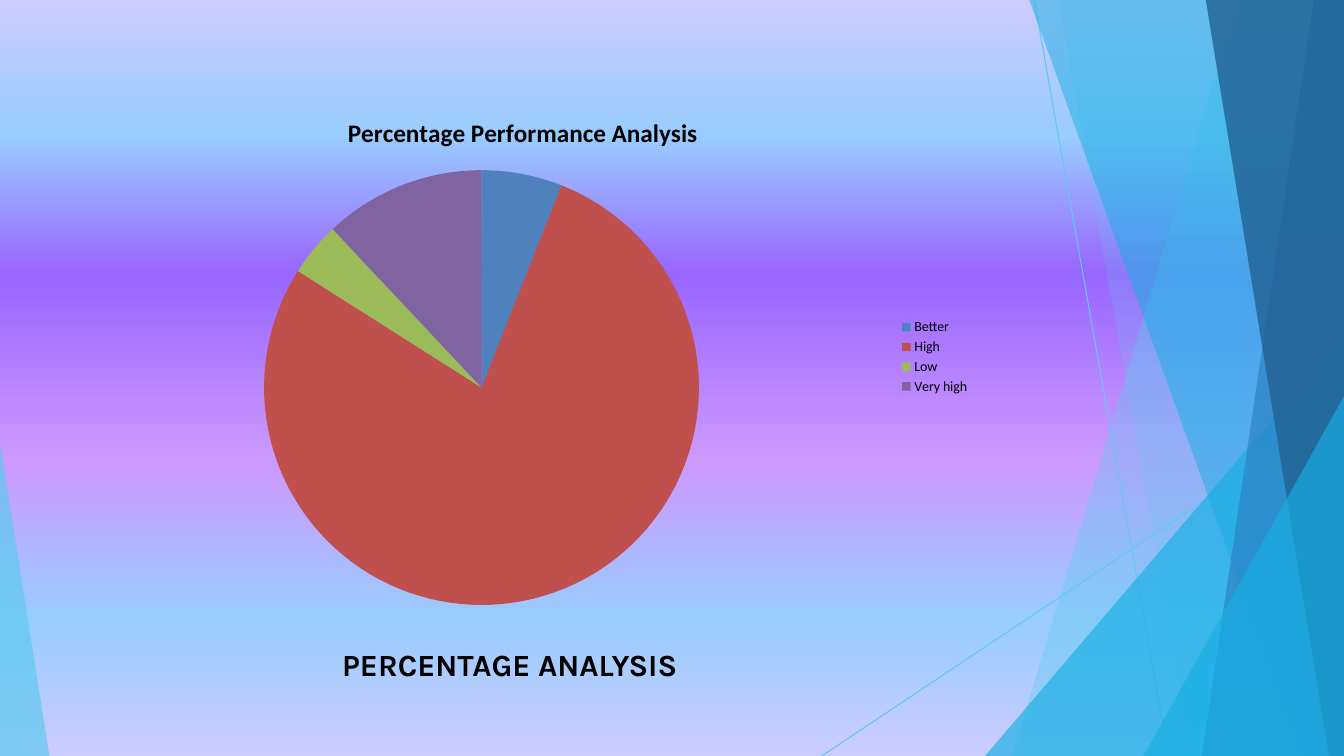
from lxml.etree import SubElement
from pptx import Presentation
from pptx.chart.data import CategoryChartData
from pptx.dml.color import RGBColor
from pptx.enum.chart import XL_CHART_TYPE, XL_LEGEND_POSITION
from pptx.enum.shapes import MSO_CONNECTOR
from pptx.enum.text import MSO_ANCHOR, PP_ALIGN
from pptx.oxml.ns import qn
from pptx.util import Inches, Pt

COLORS = {
    "black": "000000", "sky": "5FCAEE", "cyan": "17AFE3",
    "blue": "2D83C3", "navy": "226192",
    "lavender": "CCCCFF", "pale blue": "99CCFF",
    "violet": "9966FF", "orchid": "CC99FF",
    "Better": "4F81BD", "High": "C0504D", "Low": "9BBB59", "Very high": "8064A2",
}
WIDTH, HEIGHT = 13.33, 7.5
BACKGROUND = [(0, "lavender"), (18, "pale blue"), (36, "violet"),
              (61, "orchid"), (82, "pale blue"), (100, "lavender")]
RAYS = [(10.26, 0.01, 11.59, HEIGHT), (WIDTH, 4.04, 8.15, HEIGHT)]
# Each facet reaches the right edge: top left x, bottom left x, colour, opacity
BANDS = [(12.28, 10.04, "sky", 36), (10.5, 11.82, "sky", 20)]
FRONT_BANDS = [(10.21, 12.91, "cyan", 50), (13.03, 11.92, "blue", 70),
               (11.96, 13.18, "navy", 80)]
PERFORMANCE = {"Better": 6, "High": 78, "Low": 4, "Very high": 12}


def color(name):
    return RGBColor.from_string(COLORS[name])


class SlideBuilder:
    """Holds the page being built and draws its elements in the shared style."""

    def __init__(self, page):
        self.page = page

    def background(self, stops):
        fill = self.page.background.fill
        fill.gradient()
        fill.gradient_angle = 270
        stop_list = self.page.element.find(".//" + qn("a:gsLst"))
        stop_list.clear()
        for position, name in stops:
            stop = SubElement(stop_list, qn("a:gs"), pos=str(position * 1000))
            SubElement(stop, qn("a:srgbClr"), val=COLORS[name])

    def ray(self, *ends):
        line = self.page.shapes.add_connector(
            MSO_CONNECTOR.STRAIGHT, *(Inches(end) for end in ends))
        line.line.color.rgb = color("sky")
        line.line.width = Pt(0.75)
        SubElement(line.element.spPr, qn("a:effectLst"))

    def facet(self, points, name, opacity):
        """Draw a translucent polygon through the points, given in inches."""
        corners = [(Inches(x), Inches(y)) for x, y in points]
        builder = self.page.shapes.build_freeform(*corners[0])
        builder.add_line_segments(corners[1:], close=True)
        shape = builder.convert_to_shape()
        shape.shadow.inherit = False
        shape.line.fill.background()
        shape.fill.solid()
        shape.fill.fore_color.rgb = color(name)
        tint = shape.element.spPr.find(".//" + qn("a:srgbClr"))
        SubElement(tint, qn("a:alpha"), val=str(opacity * 1000))

    def band(self, top, bottom, name, opacity):
        self.facet([(WIDTH, 0), (top, 0), (bottom, HEIGHT), (WIDTH, HEIGHT)], name, opacity)

    def corner(self, left, top):
        self.facet([(WIDTH, top), (left, HEIGHT), (WIDTH, HEIGHT)], "cyan", 66)

    def title(self, text, left, top, width, height):
        box = self.page.shapes.title
        box.left, box.top = Inches(left), Inches(top)
        box.width, box.height = Inches(width), Inches(height)
        frame = box.text_frame
        frame.text = text
        frame.word_wrap = True
        frame.vertical_anchor = MSO_ANCHOR.TOP
        frame.margin_left = frame.margin_right = 0
        frame.margin_top = frame.margin_bottom = 0
        para = frame.paragraphs[0]
        para.alignment = PP_ALIGN.CENTER
        para.line_spacing = 1.0
        para.font.name = "Karla"
        para.font.size = Pt(22)
        para.font.bold = True
        para.font.color.rgb = color("black")

    def pie(self, heading, values, left, top, width, height):
        data = CategoryChartData()
        data.categories = list(values)
        data.add_series("Series 1", list(values.values()))
        chart = self.page.shapes.add_chart(
            XL_CHART_TYPE.PIE, Inches(left), Inches(top),
            Inches(width), Inches(height), data).chart
        chart.font.name = "Calibri"
        chart.font.size = Pt(10)
        chart.font.color.rgb = color("black")
        chart.has_title = True
        chart.chart_title.include_in_layout = False
        frame = chart.chart_title.text_frame
        frame.text = heading
        font = frame.paragraphs[0].font
        font.name = "Calibri"
        font.size = Pt(18)
        font.bold = True
        font.color.rgb = color("black")
        chart.has_legend = True
        chart.legend.position = XL_LEGEND_POSITION.RIGHT
        chart.legend.include_in_layout = False
        plot = chart.plots[0]
        plot.vary_by_categories = True
        for index, name in enumerate(values):
            fill = plot.series[0].points[index].format.fill
            fill.solid()
            fill.fore_color.rgb = color(name)


def main():
    deck = Presentation()
    deck.slide_width, deck.slide_height = Inches(WIDTH), Inches(HEIGHT)
    slide = SlideBuilder(deck.slides.add_slide(deck.slide_layouts[5]))
    slide.background(BACKGROUND)
    for ray in RAYS:
        slide.ray(*ray)
    for band in BANDS:
        slide.band(*band)
    slide.corner(9.77, 3.33)
    for band in FRONT_BANDS:
        slide.band(*band)
    slide.corner(11.34, 3.93)
    slide.facet([(0, 4.39), (0, HEIGHT), (0.49, HEIGHT)], "sky", 70)
    slide.title("PERCENTAGE ANALYSIS", 3.23, 6.41, 3.65, 0.74)
    slide.pie("Percentage Performance Analysis", PERFORMANCE, 0.65, 0.94, 9.07, 5.2)
    deck.save("out.pptx")


if __name__ == "__main__":
    main()
